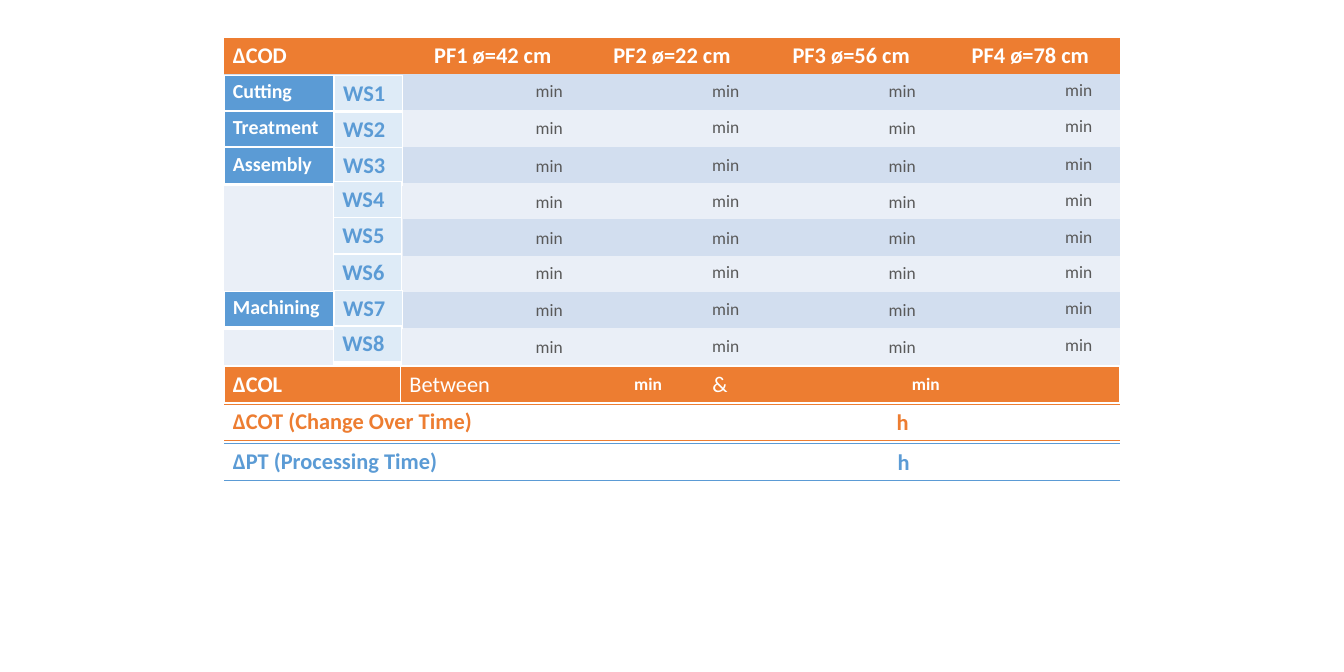
from lxml.etree import SubElement
from pptx import Presentation
from pptx.dml.color import RGBColor
from pptx.enum.text import MSO_AUTO_SIZE, PP_ALIGN
from pptx.oxml.ns import qn
from pptx.util import Inches, Pt

ORANGE, BLUE, WHITE = "ED7D31", "5B9BD5", "FFFFFF"
PALE_BLUE, GREY = "DEEBF7", "595959"
BANDS = ["D2DEEF", "EAEFF7"]
PLAIN_TABLE = "{2D5ABB26-0587-4C30-8999-92F81FD0307C}"
LEFT, WIDTH, ROW = 2.5, 10, 0.41
WHITE_EDGES = {"L": (WHITE, 1), "R": (WHITE, 1), "T": (WHITE, 1), "B": (WHITE, 3)}


def color(value):
    return RGBColor.from_string(value)


class SlideBuilder:
    font_name = "Calibri"

    def __init__(self, slide):
        self.slide = slide

    def add_text(self, frame, text, ink, **changes):
        para = frame.paragraphs[0]
        span = para.add_run()
        span.text = text
        style = {"name": self.font_name, "size": Pt(18), "bold": True, **changes}
        for name, value in style.items():
            setattr(span.font, name, value)
        span.font.color.rgb = color(ink)
        return para

    def label(self, left, top, text, ink, size=14, bold=True, width=0.52, height=0.34):
        box = self.slide.shapes.add_textbox(
            Inches(left), Inches(top), Inches(width), Inches(height))
        frame = box.text_frame
        frame.word_wrap = False
        frame.auto_size = MSO_AUTO_SIZE.SHAPE_TO_FIT_TEXT
        self.add_text(frame, text, ink, size=Pt(size), bold=bold)

    def table(self, left, top, widths, rows=1, height=ROW):
        frame = self.slide.shapes.add_table(
            rows, len(widths), Inches(left), Inches(top),
            Inches(sum(widths)), Inches(height))
        for style in frame.element.iter(qn("a:tableStyleId")):
            style.text = PLAIN_TABLE
        table = frame.table
        table.first_row = table.horz_banding = False
        for column, width in zip(table.columns, widths):
            column.width = Inches(width)
        return table

    def cell(self, cell, fill=None, edges=None):
        properties = cell._tc.get_or_add_tcPr()
        for side, (ink, weight) in (edges or {}).items():
            line = SubElement(properties, qn(f"a:ln{side}"), w=str(Pt(weight)))
            SubElement(SubElement(line, qn("a:solidFill")), qn("a:srgbClr"), val=ink)
        if fill:
            cell.fill.solid()
            cell.fill.fore_color.rgb = color(fill)
        return cell.text_frame

    def tag(self, left, top, width, text, ink, fill, size):
        table = self.table(left, top, [width])
        frame = self.cell(table.cell(0, 0), fill, WHITE_EDGES)
        self.add_text(frame, text, ink, size=Pt(size))

    def total(self, top, text, ink):
        table = self.table(LEFT, top, [WIDTH / 2] * 2)
        edges = {"T": (ink, 1), "B": (ink, 1)}
        frames = [self.cell(cell, edges=edges) for cell in table.iter_cells()]
        self.add_text(frames[0], text, ink)


def main():
    deck = Presentation()
    deck.slide_width, deck.slide_height = Inches(15), Inches(7.5)
    page = SlideBuilder(deck.slides.add_slide(deck.slide_layouts[6]))

    # Main grid with header and banded rows
    headings = ["ΔCOD", "PF1 ø=42 cm", "PF2 ø=22 cm", "PF3 ø=56 cm", "PF4 ø=78 cm"]
    grid = page.table(LEFT, 0.42, [WIDTH / 5] * 5, rows=9, height=3.65)
    for column, heading in enumerate(headings):
        para = page.add_text(page.cell(grid.cell(0, column), ORANGE), heading, WHITE)
        if column:
            para.alignment = PP_ALIGN.CENTER
        for row in range(1, 9):
            page.cell(grid.cell(row, column), BANDS[(row - 1) % 2])
    grid.cell(4, 0).merge(grid.cell(6, 0))

    # Process names
    processes = {"Cutting": 0.84, "Treatment": 1.24, "Assembly": 1.65, "Machining": 3.25}
    for name, top in processes.items():
        page.tag(LEFT, top, 1.22, name, WHITE, BLUE, 16)

    # Workstations
    station_places = [(3.73, 0.84), (3.73, 1.25), (3.73, 1.65), (3.72, 2.03),
                      (3.72, 2.43), (3.72, 2.84), (3.73, 3.24), (3.72, 3.64)]
    for number, (left, top) in enumerate(station_places, 1):
        page.tag(left, top, 0.76, f"WS{number}", BLUE, PALE_BLUE, 18)

    # Minute units, one per workstation and product
    unit_tops = [0.85, 1.26, 1.68, 2.08, 2.49, 2.88, 3.29, 3.7]
    for column, shift in enumerate([0, -0.01, 0, -0.02]):
        for top in unit_tops:
            page.label(5.88 + 1.97 * column, top + shift, "min", GREY, bold=False)

    # Changeover range, with a tab stop before the ampersand
    limits_table = page.table(LEFT, 4.09, [1.97, 8.03])
    name, limits = [page.cell(cell, ORANGE, WHITE_EDGES)
                    for cell in limits_table.iter_cells()]
    page.add_text(name, "ΔCOL", WHITE)
    para = page.add_text(limits, "Between\t&", WHITE, bold=False)
    tabs = SubElement(para._p.get_or_add_pPr(), qn("a:tabLst"))
    SubElement(tabs, qn("a:tab"), pos=str(Inches(3.38)), algn="l")
    page.label(6.98, 4.12, "min", WHITE)
    page.label(10.08, 4.11, "min", WHITE)

    # Totals in hours
    totals = [(4.51, 9.91, "ΔCOT (Change Over Time)", ORANGE),
              (4.95, 9.92, "ΔPT (Processing Time)", BLUE)]
    for top, unit_left, text, ink in totals:
        page.total(top, text, ink)
        page.label(unit_left, top, "h", ink, size=18, width=0.34, height=0.4)

    deck.save("out.pptx")


if __name__ == "__main__":
    main()
